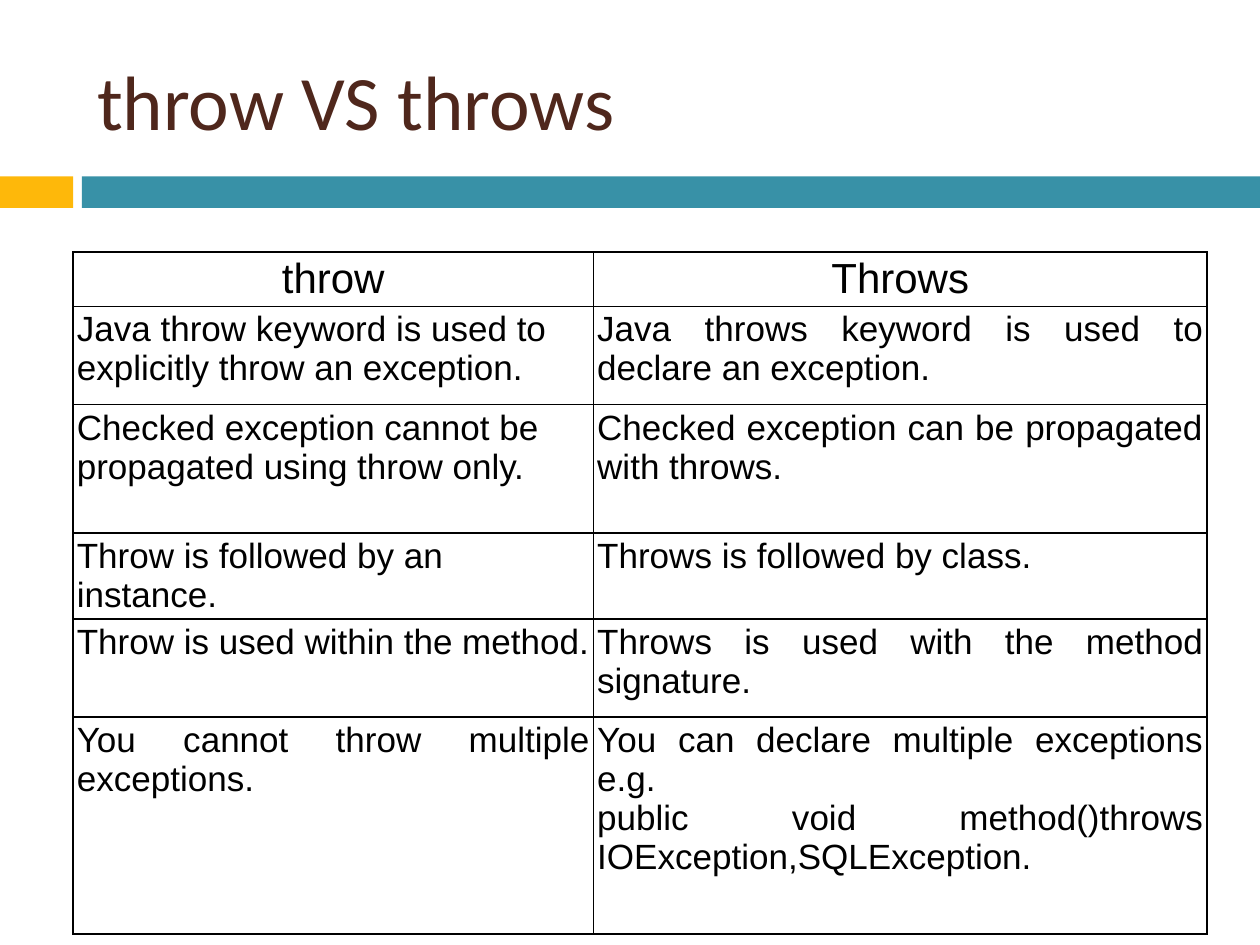
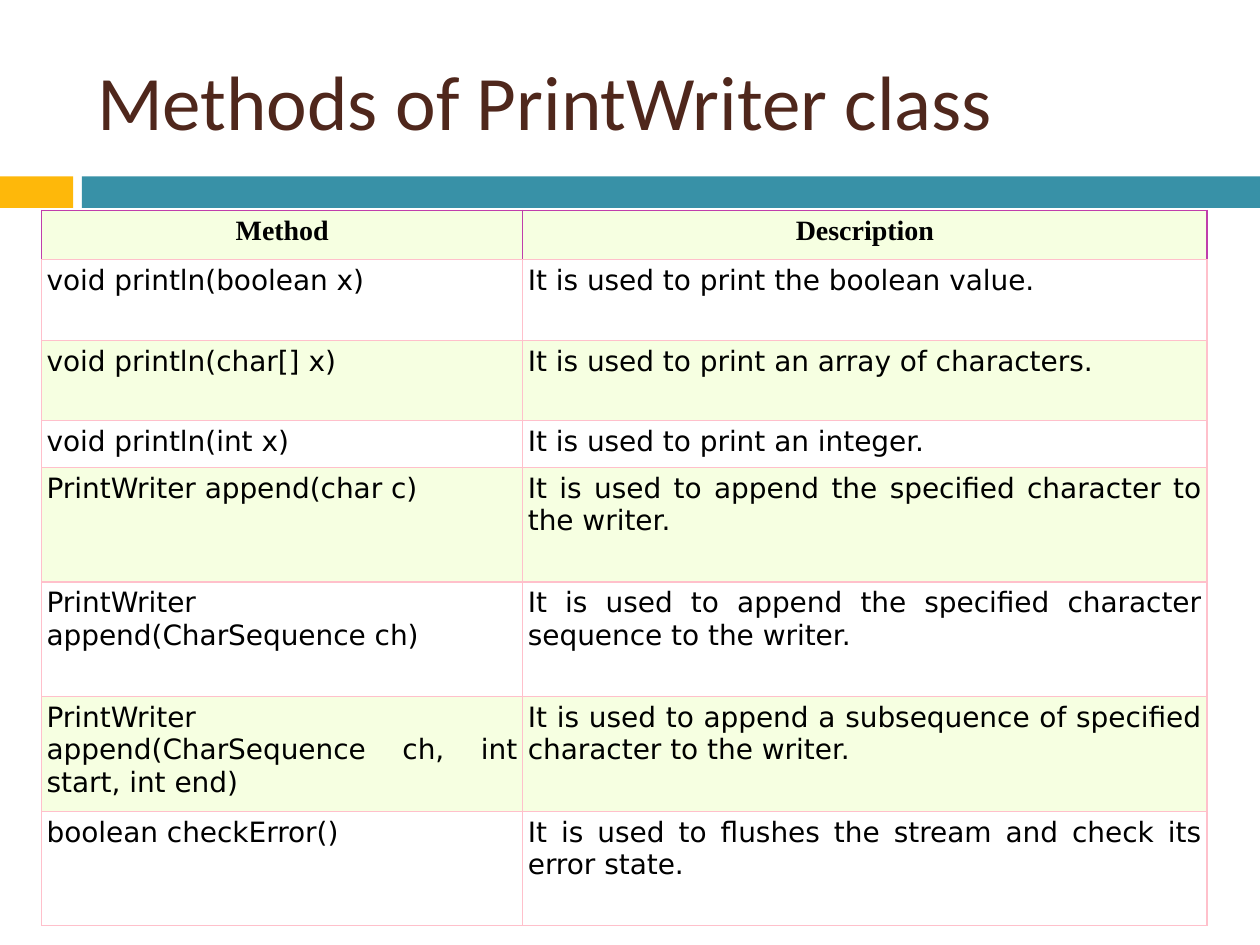
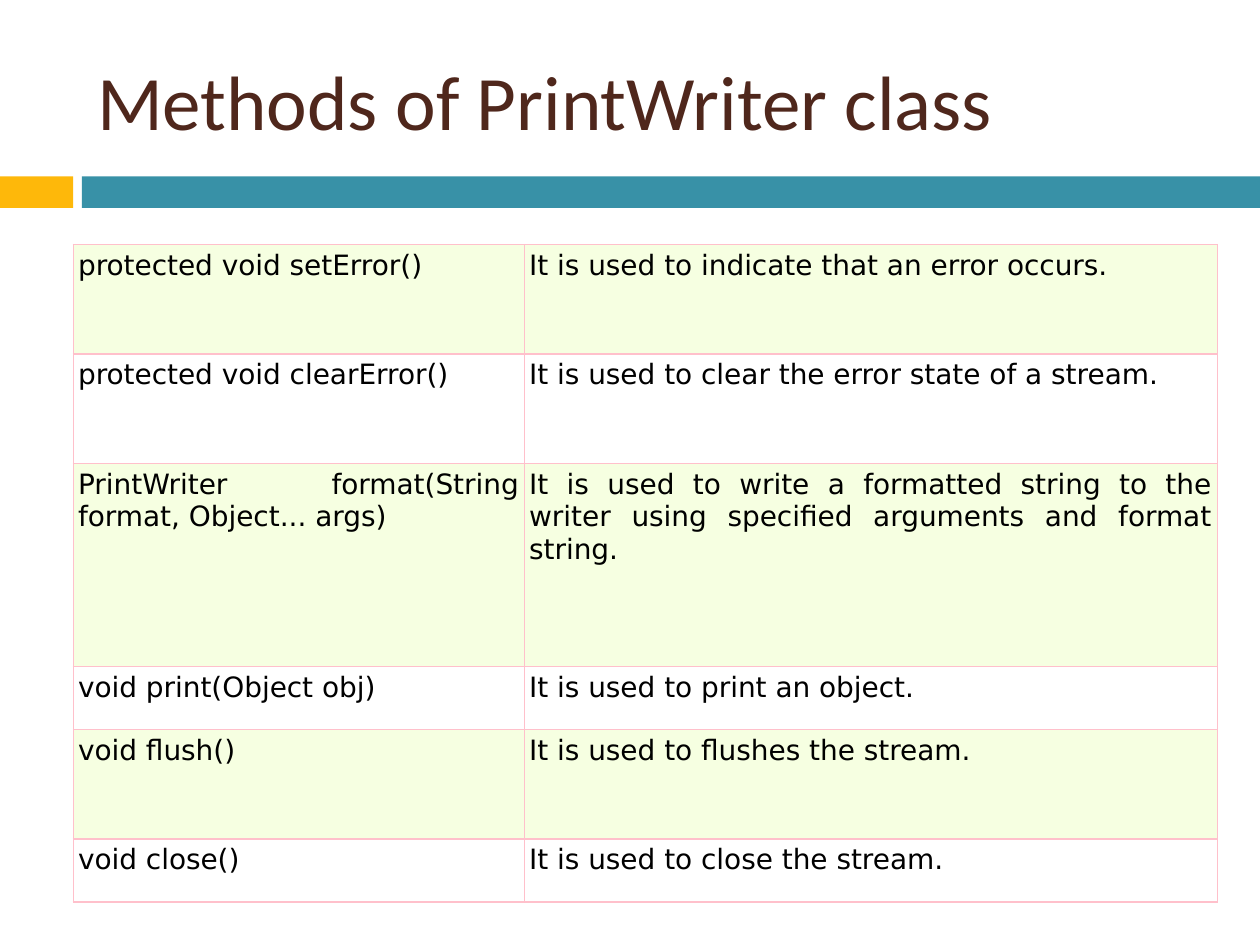
"""Build three Java slides, each with a titled two-column table."""
import pptx
import pptx.dml.color
import pptx.enum.shapes
import pptx.enum.text
import pptx.oxml
import pptx.oxml.ns
import pptx.util

ALIGN = pptx.enum.text.PP_ALIGN
INCHES = pptx.util.Inches

BLACK, WHITE, LIME = "000000", "FFFFFF", "F6FFE1"
PINK, PURPLE, BROWN = "FFC0CB", "C03EAB", "4F271C"
BANDS = [(0, 0.58, "FEB80A"), (0.65, 9.35, "3891A7")]
BAND_TOP, BAND_HEIGHT = 1.4, 0.25
TITLE_BOX = (0.67, 0.25, 8.92, 1.08)

KEYWORD_STYLE = {
    "header": ("Arial", 24, False), "body": ("Arial", 20, False),
    "inset": 0.03, "border": BLACK, "header_border": BLACK,
    "border_width": 1, "fills": (None, None),
}
METHOD_STYLE = {
    "header": ("Times New Roman", 16, True), "body": ("DejaVu Sans", 16, False),
    "inset": 0.04, "border": PINK, "header_border": PURPLE,
    "border_width": 0.75, "fills": (LIME, WHITE),
}

SLIDES = [
    {
        "title": "throw VS throws", "style": KEYWORD_STYLE, "has_header": True,
        "position": (0.58, 2), "columns": (4.13, 4.87), "ragged_rows": range(1, 5),
        "rows": [
            (0.39, "throw", "Throws"),
            (0.78, "Java throw keyword is used to explicitly throw an exception.",
             "Java throws keyword is used to declare an exception."),
            (1.02, "Checked exception cannot be propagated using throw only.",
             "Checked exception can be propagated with throws."),
            (0.55, "Throw is followed by an instance.", "Throws is followed by class."),
            (0.78, "Throw is used within the method.",
             "Throws is used with the method signature."),
            (1.72, "You cannot throw multiple exceptions.",
             "You can declare multiple exceptions e.g.\n"
             "public void method()throws IOException,SQLException."),
        ],
    },
    {
        "title": "Methods of PrintWriter class", "style": METHOD_STYLE, "has_header": True,
        "position": (0.33, 1.67), "columns": (3.82, 5.43), "ragged_rows": (),
        "rows": [
            (0.39, "Method", "Description"),
            (0.64, "void println(boolean x)", "It is used to print the boolean value."),
            (0.64, "void println(char[] x)", "It is used to print an array of characters."),
            (0.37, "void println(int x)", "It is used to print an integer."),
            (0.91, "PrintWriter append(char c)",
             "It is used to append the specified character to the writer."),
            (0.91, "PrintWriter append(CharSequence ch)",
             "It is used to append the specified character sequence to the writer."),
            (0.91, "PrintWriter append(CharSequence ch, int start, int end)",
             "It is used to append a subsequence of specified character to the writer."),
            (0.91, "boolean checkError()",
             "It is used to flushes the stream and check its error state."),
        ],
    },
    {
        "title": "Methods of PrintWriter class", "style": METHOD_STYLE, "has_header": False,
        "position": (0.58, 1.94), "columns": (3.58, 5.5), "ragged_rows": (),
        "rows": [
            (0.87, "protected void setError()", "It is used to indicate that an error occurs."),
            (0.87, "protected void clearError()",
             "It is used to clear the error state of a stream."),
            (1.61, "PrintWriter format(String format, Object... args)",
             "It is used to write a formatted string to the writer using "
             "specified arguments and format string."),
            (0.5, "void print(Object obj)", "It is used to print an object."),
            (0.87, "void flush()", "It is used to flushes the stream."),
            (0.5, "void close()", "It is used to close the stream."),
        ],
    },
]


def color(value):
    return pptx.dml.color.RGBColor.from_string(value)


def format_paragraph(paragraph, text, font, text_color, alignment):
    paragraph.text = text
    paragraph.alignment = alignment
    paragraph.font.name, size, paragraph.font.bold = font
    paragraph.font.size = pptx.util.Pt(size)
    paragraph.font.color.rgb = color(text_color)


def add_bands(slide, layout):
    """Draw the bands and move them to the layout that all slides share."""
    for number, (left, width, fill) in enumerate(BANDS):
        band = slide.shapes.add_shape(
            pptx.enum.shapes.MSO_SHAPE.RECTANGLE,
            *map(INCHES, (left, BAND_TOP, width, BAND_HEIGHT)))
        band.shadow.inherit = False
        band.fill.solid()
        band.fill.fore_color.rgb = color(fill)
        band.line.fill.background()
        band.element.xpath("./p:nvSpPr/p:cNvPr")[0].set("id", str(100 + number))
        layout.shapes.element.append(band.element)


def format_title(slide, text):
    title = slide.shapes.title
    title.left, title.top, title.width, title.height = map(INCHES, TITLE_BOX)
    title.text_frame.vertical_anchor = pptx.enum.text.MSO_ANCHOR.MIDDLE
    format_paragraph(title.text_frame.paragraphs[0], text,
                     ("Calibri", 44, False), BROWN, ALIGN.LEFT)


def set_borders(cell, colors, width):
    """Set the left, right, top and bottom borders in that order."""
    properties = cell._tc.get_or_add_tcPr()
    for index, (side, line_color) in enumerate(zip("LRTB", colors)):
        properties.insert(index, pptx.oxml.parse_xml(
            f'<a:ln{side} {pptx.oxml.ns.nsdecls("a")} w="{pptx.util.Pt(width)}">'
            f'<a:solidFill><a:srgbClr val="{line_color}"/></a:solidFill></a:ln{side}>'))


def format_cell(cell, text, style, is_header, alignment, fill):
    inset = INCHES(style["inset"])
    cell.margin_left = cell.margin_right = cell.margin_top = cell.margin_bottom = inset
    font = style["header" if is_header else "body"]
    format_paragraph(cell.text_frame.paragraphs[0], text, font, BLACK, alignment)
    if fill:
        cell.fill.solid()
        cell.fill.fore_color.rgb = color(fill)
    else:
        cell.fill.background()
    edge = style["header_border" if is_header else "border"]
    set_borders(cell, (edge, edge, edge, style["border"]), style["border_width"])


def add_table(slide, content):
    rows, columns, style = content["rows"], content["columns"], content["style"]
    size = sum(columns), sum(row[0] for row in rows)
    table = slide.shapes.add_table(
        len(rows), len(columns), *map(INCHES, content["position"] + size)).table
    table.first_row = table.horz_banding = False
    for column, width in zip(table.columns, columns):
        column.width = INCHES(width)
    for row_index, (height, *texts) in enumerate(rows):
        table.rows[row_index].height = INCHES(height)
        is_header = content["has_header"] and row_index == 0
        for column_index, text in enumerate(texts):
            alignment = ALIGN.JUSTIFY
            if is_header:
                alignment = ALIGN.CENTER
            elif column_index == 0 and row_index in content["ragged_rows"]:
                alignment = ALIGN.LEFT
            format_cell(table.cell(row_index, column_index), text, style,
                        is_header, alignment, style["fills"][row_index % 2])


def main():
    presentation = pptx.Presentation()
    presentation.slide_width, presentation.slide_height = INCHES(10), INCHES(7.5)
    layout = presentation.slide_layouts.get_by_name("Title Only")
    for index, content in enumerate(SLIDES):
        slide = presentation.slides.add_slide(layout)
        if index == 0:
            add_bands(slide, layout)
        format_title(slide, content["title"])
        add_table(slide, content)
    presentation.save("out.pptx")


if __name__ == "__main__":
    main()
